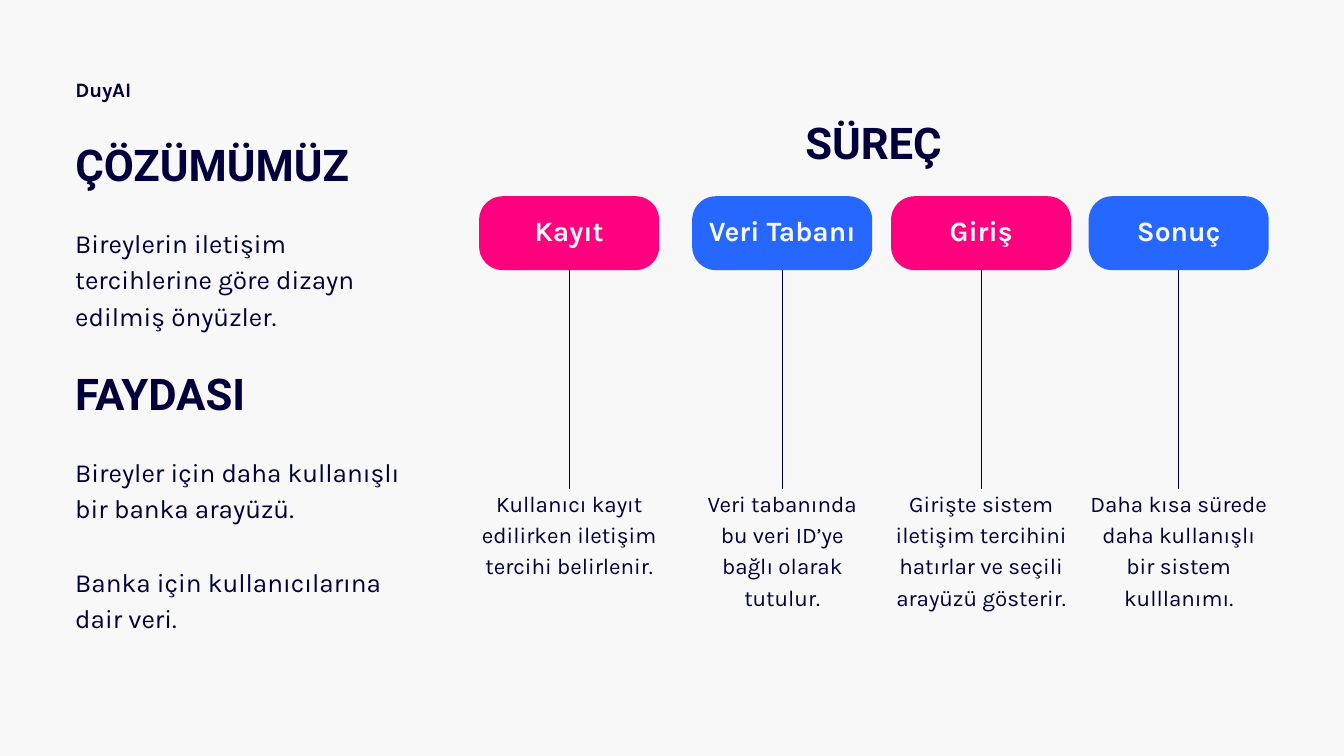
"""Builds a slide on a solution, its benefits and a four-step process."""
from typing import NamedTuple

import pptx
import pptx.dml.color
import pptx.enum.shapes
import pptx.enum.text
import pptx.oxml.ns
import pptx.util
from lxml import etree

Inches = pptx.util.Inches
Pt = pptx.util.Pt
ALIGN = pptx.enum.text.PP_ALIGN
ANCHOR = pptx.enum.text.MSO_ANCHOR

NAVY, PINK, BLUE, PALE = "01003B", "FF007E", "2667FF", "F8F8F8"
PILL_TOP, PILL_WIDTH, PILL_HEIGHT = 2.92, 2.68, 1.1
CAPTION_TOP, LINE_END = 7.22, 7.27


class Step(NamedTuple):
    title: str
    left: float
    color: str
    caption_width: float
    caption: str


class Text(NamedTuple):
    lines: list[str]
    box: tuple[float, float, float, float]
    style: dict


HEADING = dict(size=46.8, leading=56.1, font="Roboto", bold=True)
BODY = dict(size=28, leading=39.2)
CAPTION = dict(size=24, leading=33.6, align=ALIGN.CENTER)
PILL = dict(size=30, leading=42, bold=True, color=PALE, align=ALIGN.CENTER)
BRAND = dict(size=22, leading=30.8, bold=True)

TEXTS = [
    Text(["DuyAI"], (1.12, 1.08, 3.55, 0.41), BRAND),
    Text(["ÇÖZÜMÜMÜZ"], (1.12, 2.05, 5.15, 0.78), HEADING),
    Text(["Bireylerin iletişim tercihlerine göre dizayn edilmiş önyüzler."],
         (1.12, 3.3, 4.66, 1.59), BODY),
    Text(["FAYDASI"], (1.12, 5.46, 5.34, 0.78), HEADING),
    Text(["Bireyler için daha kullanışlı bir banka arayüzü.",
          "Banka için kullanıcılarına dair veri."],
         (1.12, 6.71, 4.84, 2.68), BODY | dict(gap=39.2)),
    Text(["SÜREÇ"], (7.13, 1.72, 11.74, 0.78), HEADING | dict(align=ALIGN.CENTER)),
]

STEPS = [
    Step("Kayıt", 7.13, PINK, 2.73,
         "Kullanıcı kayıt edilirken iletişim tercihi belirlenir."),
    Step("Veri Tabanı", 10.3, BLUE, 2.38,
         "Veri tabanında bu veri ID’ye bağlı olarak tutulur."),
    Step("Giriş", 13.26, PINK, 3.22,
         "Girişte sistem iletişim tercihini hatırlar ve seçili arayüzü gösterir."),
    Step("Sonuç", 16.2, BLUE, 2.67,
         "Daha kısa sürede daha kullanışlı bir sistem kulllanımı."),
]


def rgb(value: str) -> pptx.dml.color.RGBColor:
    return pptx.dml.color.RGBColor.from_string(value)


def write(tf, lines: list[str], *, size: float, leading: float, font: str = "Karla",
          bold: bool = False, color: str = NAVY, align=ALIGN.LEFT, gap: float = 0,
          anchor=ANCHOR.TOP, insets=(0, 0, 0, 0)) -> None:
    tf.word_wrap = True
    tf.vertical_anchor = anchor
    tf.margin_left, tf.margin_top, tf.margin_right, tf.margin_bottom = map(Inches, insets)
    for i, line in enumerate(lines):
        p = tf.add_paragraph() if i else tf.paragraphs[0]
        p.alignment = align
        p.line_spacing = Pt(leading)
        if i:
            p.space_before = Pt(gap)
        r = p.add_run()
        r.text = line
        r.font.size, r.font.name, r.font.bold = Pt(size), font, bold
        r.font.color.rgb = rgb(color)


def add_text(s, text: Text) -> None:
    sp = s.shapes.add_textbox(*map(Inches, text.box))
    write(sp.text_frame, text.lines, **text.style)


def add_step(s, step: Step) -> None:
    sp = s.shapes.add_shape(
        pptx.enum.shapes.MSO_SHAPE.ROUNDED_RECTANGLE, Inches(step.left),
        Inches(PILL_TOP), Inches(PILL_WIDTH), Inches(PILL_HEIGHT))
    sp.adjustments[0] = 0.32
    sp.shadow.inherit = False
    sp.fill.solid()
    sp.fill.fore_color.rgb = rgb(step.color)
    sp.line.fill.background()
    write(sp.text_frame, [step.title], anchor=ANCHOR.MIDDLE,
          insets=(0.06, 0.06, 0.06, 0.22), **PILL)

    center = step.left + PILL_WIDTH / 2
    line = s.shapes.add_connector(
        pptx.enum.shapes.MSO_CONNECTOR.STRAIGHT, Inches(center),
        Inches(PILL_TOP + PILL_HEIGHT), Inches(center), Inches(LINE_END))
    line.begin_connect(sp, 2)
    line.line.color.rgb = rgb(NAVY)
    line.line.width = Pt(0.75)
    etree.SubElement(line._element.spPr, pptx.oxml.ns.qn("a:effectLst"))

    box = (center - step.caption_width / 2, CAPTION_TOP, step.caption_width, 1.82)
    add_text(s, Text([step.caption], box, CAPTION))


def main() -> None:
    prs = pptx.Presentation()
    prs.slide_width, prs.slide_height = Inches(20), Inches(11.25)
    s = prs.slides.add_slide(prs.slide_layouts[6])
    s.background.fill.solid()
    s.background.fill.fore_color.rgb = rgb(PALE)
    for text in TEXTS:
        add_text(s, text)
    for step in STEPS:
        add_step(s, step)
    prs.save("out.pptx")


if __name__ == "__main__":
    main()
